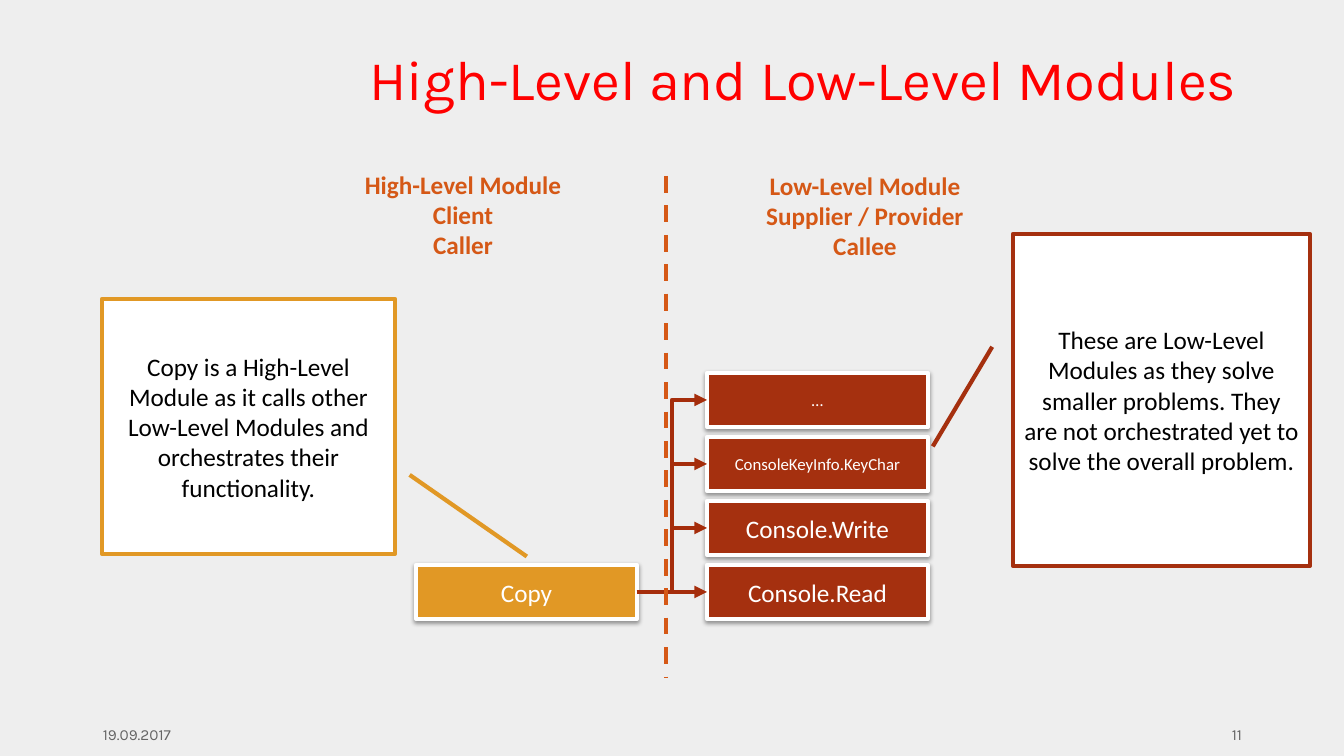
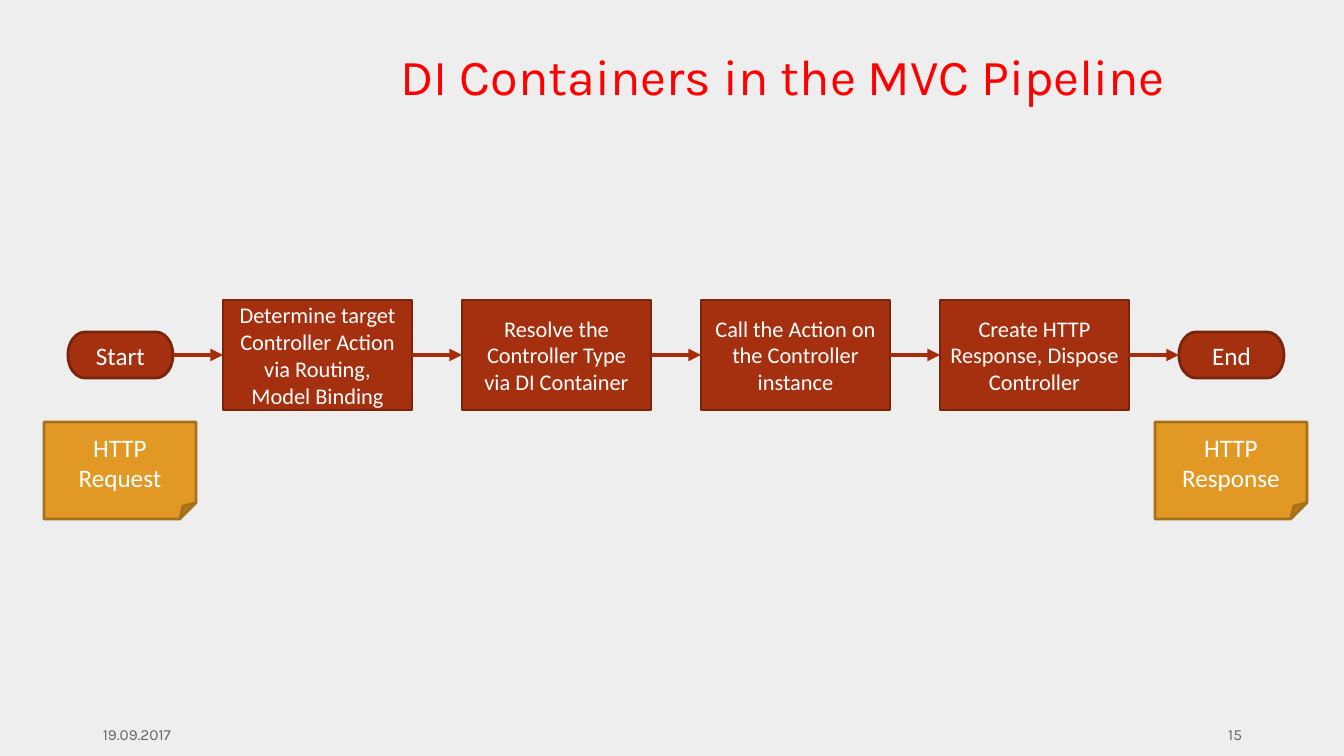
"""Build two slides on software modules and a request pipeline."""
from lxml import etree
from pptx import Presentation
from pptx import util as u
from pptx.dml import color
from pptx.enum import dml, shapes, text
from pptx.oxml import ns

PX = 914400 / 100.8
WIDTH, HEIGHT = 1344, 756
BODY, HEAD = "Calibri", "Karla"
PAPER, WHITE, BLACK = "EEEEEE", "FFFFFF", "000000"
TITLE, MUTED = "FF0000", "656565"
RUST, RUST_EDGE, ARROW = "A5300F", "7A240B", "A52D0B"
GOLD, GOLD_EDGE, ORANGE = "E19825", "A6701B", "D55816"
KIND = shapes.MSO_SHAPE
ALIGN = text.PP_ALIGN
TOP, LEFT, BOTTOM, RIGHT = range(4)

DATE = "19.09.2017"
MODULES_TITLE = ("High-Level and Low-Level Modules", 40, 354, 898)
PIPELINE_TITLE = ("DI Containers in the MVC Pipeline", 36, 315, 936)

CALLER = "Copy"
CALLEES = [("…", 12), ("ConsoleKeyInfo.KeyChar", 12),
           ("Console.Write", 18), ("Console.Read", 18)]
CALLOUTS = [
    ("Copy is a High-Level Module as it calls other Low-Level Modules "
     "and orchestrates their functionality.",
     (102, 299, 293, 255), GOLD, (0.69, 1.05, 1.01, 1.45)),
    ("These are Low-Level Modules as they solve smaller problems. "
     "They are not orchestrated yet to solve the overall problem.",
     (1013, 234, 297, 332), RUST, (0.34, -0.07, 0.64, -0.27)),
]
ROLES = [
    (["High-Level Module", "Client", "Caller"], (354, 164, 218, 102)),
    (["Low-Level Module", "Supplier / Provider", "Callee"], (755, 165, 220, 102)),
]

STEPS = ["Start",
         "Determine target Controller Action via Routing, Model Binding",
         "Resolve the Controller Type via DI Container",
         "Call the Action on the Controller instance",
         "Create HTTP Response, Dispose Controller",
         "End"]
NOTES = ["HTTP Request", "HTTP Response"]


def emu(*lengths):
    return [u.Emu(round(length * PX)) for length in lengths]


def rgb(value):
    return color.RGBColor.from_string(value)


def write(shape, lines, size, ink, font=BODY, align=ALIGN.CENTER, bold=False):
    frame = shape.text_frame
    for index, line in enumerate(lines):
        para = frame.paragraphs[0] if index == 0 else frame.add_paragraph()
        para.alignment = align
        span = para.add_run()
        span.text = line
        span.font.size = u.Pt(size)
        span.font.name = font
        span.font.bold = bold
        span.font.color.rgb = rgb(ink)


def add_text(page, area, lines, size, ink, wrap=True, **style):
    box = page.shapes.add_textbox(*emu(*area))
    box.text_frame.word_wrap = wrap
    box.text_frame.vertical_anchor = text.MSO_ANCHOR.TOP
    write(box, lines, size, ink, **style)


def add_box(page, kind, area, label, size, fill, edge, weight, ink=WHITE):
    box = page.shapes.add_shape(kind, *emu(*area))
    box.shadow.inherit = False
    box.fill.solid()
    box.fill.fore_color.rgb = rgb(fill)
    box.line.color.rgb = rgb(edge)
    box.line.width = u.Pt(weight)
    box.text_frame.word_wrap = True
    box.text_frame.vertical_anchor = text.MSO_ANCHOR.MIDDLE
    write(box, [label], size, ink)
    return box


def add_module(page, area, label, size, fill):
    box = add_box(page, KIND.RECTANGLE, area, label, size, fill, WHITE, 3)
    effects = box._element.spPr.find(ns.qn("a:effectLst"))
    shadow = etree.SubElement(effects, ns.qn("a:outerShdw"), blurRad=str(u.Pt(3.1)),
                              dist=str(u.Pt(1.6)), dir="5400000", rotWithShape="0")
    tint = etree.SubElement(shadow, ns.qn("a:srgbClr"), val=BLACK)
    etree.SubElement(tint, ns.qn("a:alpha"), val="38000")
    return box


def add_line(page, ink, ends=(0, 0, 0, 0), kind=shapes.MSO_CONNECTOR.STRAIGHT):
    line = page.shapes.add_connector(kind, *emu(*ends))
    line.line.color.rgb = rgb(ink)
    line.line.width = u.Pt(3)
    etree.SubElement(line._element.spPr, ns.qn("a:effectLst"))
    return line


def add_arrow(page, source, target, kind=shapes.MSO_CONNECTOR.STRAIGHT):
    arrow = add_line(page, ARROW, kind=kind)
    arrow.begin_connect(source, RIGHT)
    arrow.end_connect(target, LEFT)
    etree.SubElement(arrow.line._get_or_add_ln(), ns.qn("a:tailEnd"), type="triangle")


def add_page(deck, title, number):
    page = deck.slides.add_slide(deck.slide_layouts[6])
    words, size, left, width = title
    add_text(page, (left, 40, width, 116), [words], size, TITLE, font=HEAD)
    for left, words, align in ((93, DATE, ALIGN.LEFT), (950, number, ALIGN.RIGHT)):
        add_text(page, (left, 720, 302, 21), [words], 11, MUTED, font=HEAD, align=align)
    return page


def build_modules(deck):
    page = add_page(deck, MODULES_TITLE, "11")
    width, height, top, pitch = 221, 54, 373, 64
    last = len(CALLEES) - 1
    caller = add_module(page, (416, top + last * pitch, width, height), CALLER, 18, GOLD)
    callees = [add_module(page, (707, top + row * pitch, width, height), label, size, RUST)
               for row, (label, size) in enumerate(CALLEES)]
    for callee in callees[:-1]:
        add_arrow(page, caller, callee, shapes.MSO_CONNECTOR.ELBOW)
    add_arrow(page, caller, callees[-1])
    for words, area, edge, pointer in CALLOUTS:
        callout = add_box(page, KIND.LINE_CALLOUT_1, area, words, 18, WHITE, edge, 3, BLACK)
        for index, value in enumerate(pointer):
            callout.adjustments[index] = value
    divider = add_line(page, ORANGE, (666, 176, 666, 678))
    divider.line.dash_style = dml.MSO_LINE.DASH
    for lines, area in ROLES:
        add_text(page, area, lines, 18, ORANGE, wrap=False, bold=True)


def build_pipeline(deck):
    page = add_page(deck, PIPELINE_TITLE, "15")
    left, middle, gap = 68, 355, 50
    terminal = (KIND.FLOWCHART_TERMINATOR, 105, 46, 18)
    action = (KIND.RECTANGLE, 189, 110, 16)
    note_width = 152
    notes = iter(NOTES)
    previous = None
    for index, label in enumerate(STEPS):
        is_end = index in (0, len(STEPS) - 1)
        kind, width, height, size = terminal if is_end else action
        area = (left, middle - height // 2, width, height)
        step = add_box(page, kind, area, label, size, RUST, RUST_EDGE, 2)
        if is_end:
            note_area = (left + (width - note_width) // 2, 422, note_width, 97)
            add_box(page, KIND.FOLDED_CORNER, note_area, next(notes), 18, GOLD, GOLD_EDGE, 2)
        if previous is not None:
            add_arrow(page, previous, step)
        previous = step
        left += width + gap


def main():
    deck = Presentation()
    deck.slide_width, deck.slide_height = emu(WIDTH, HEIGHT)
    backdrop = deck.slide_master.background.fill
    backdrop.solid()
    backdrop.fore_color.rgb = rgb(PAPER)
    build_modules(deck)
    build_pipeline(deck)
    deck.save("out.pptx")


if __name__ == "__main__":
    main()
